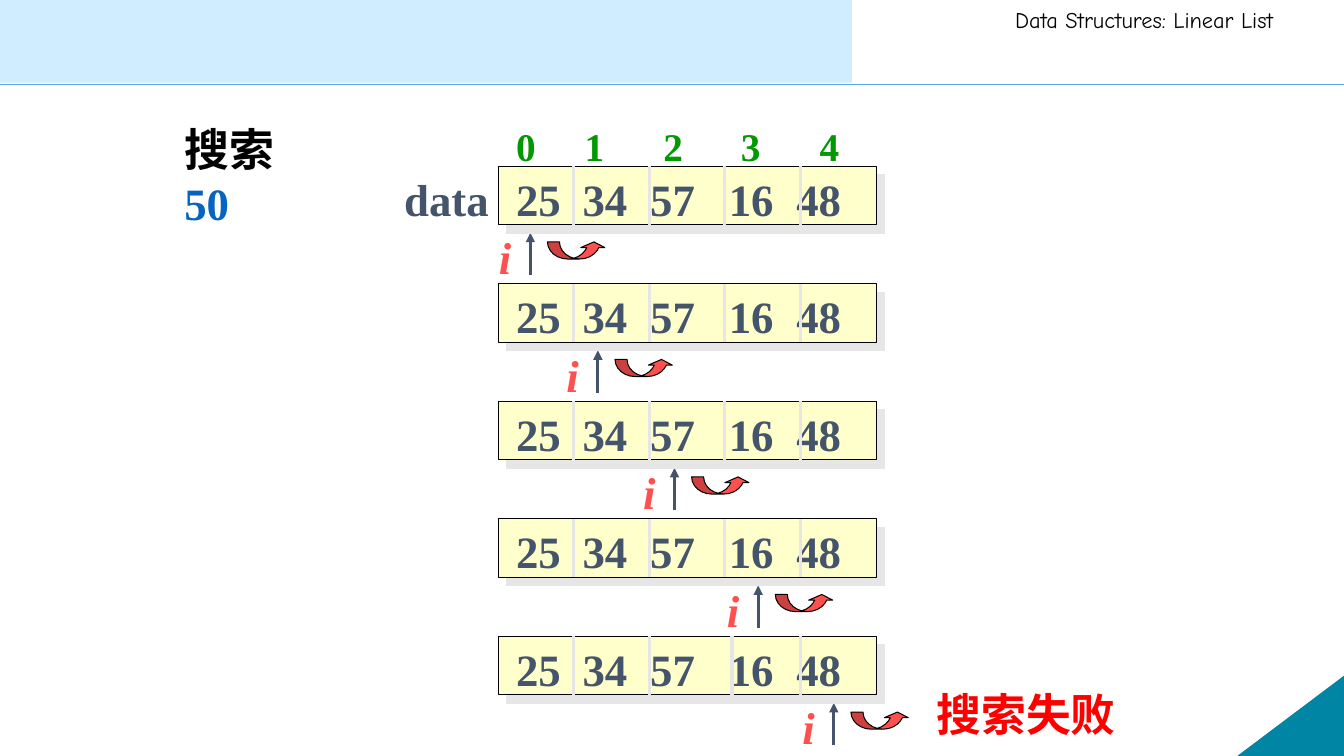
from dataclasses import dataclass
from lxml import etree
from pptx import Presentation
from pptx.dml.color import RGBColor
from pptx.enum.shapes import MSO_CONNECTOR, MSO_SHAPE
from pptx.oxml.ns import qn
from pptx.util import Inches, Pt

STRAIGHT = MSO_CONNECTOR.STRAIGHT
RECTANGLE = MSO_SHAPE.RECTANGLE
TRIANGLE = MSO_SHAPE.RIGHT_TRIANGLE
CURVED_ARROW = MSO_SHAPE.CURVED_UP_ARROW

COURSE = "Data Structures: Linear List"
ARRAY_NAME = "data"
TASK = [("搜索", "black"), ("50", "target")]
FAILURE = "搜索失败"
POINTER = "i"
INDICES = ["0", "1", "2", "3", "4"]
VALUES = ["25", "34", "57", "16", "48"]
INDEX_TABS = [0.68, 1.46, 2.23, 3.01]
VALUE_TABS = [0.66, 1.33, 2.11, 2.78]
POINTER_CENTRES = [5.26, 5.93, 6.69, 7.52, 8.27]

PAGE_WIDTH, PAGE_HEIGHT = 13.33, 7.5
ARRAY_LEFT, ARRAY_TOP = 4.94, 1.65
ARRAY_WIDTH, ARRAY_HEIGHT = 3.75, 0.58
TEXT_LEFT = ARRAY_LEFT + 0.08
CELL_WIDTH = ARRAY_WIDTH / len(VALUES)
ROW_PITCH = 1.166
LAST_ROW = len(POINTER_CENTRES) - 1
LAST_ROW_SHIFTS = {3: 0.07}


@dataclass(frozen=True)
class Theme:
    serif: str = "Times New Roman"
    comic: str = "Comic Neue"
    black: str = "000000"
    ink: str = "44546A"
    target: str = "0563C1"
    index: str = "009900"
    red: str = "FF5050"
    failure: str = "FF0000"
    cell: str = "FFFFCC"
    grey: str = "E7E6E6"
    band: str = "CFEDFE"
    rule: str = "5AAAED"
    corner: str = "0085A4"
    body: int = 32
    label: int = 28
    header: int = 16


THEME = Theme()
deck = Presentation()
deck.slide_width, deck.slide_height = Inches(PAGE_WIDTH), Inches(PAGE_HEIGHT)
page = deck.slides.add_slide(deck.slide_layouts[6])


def colour(code):
    return RGBColor.from_string(code)


def add_shape(kind, left, top, width, height, fill, line=None):
    shape = page.shapes.add_shape(kind, *map(Inches, (left, top, width, height)))
    shape.shadow.inherit = False
    shape.fill.solid()
    shape.fill.fore_color.rgb = colour(fill)
    if line:
        shape.line.color.rgb = colour(line)
        shape.line.width = Pt(0.75)
    else:
        shape.line.fill.background()
    return shape


def add_line(start, end, line_colour, width, arrow=False):
    line = page.shapes.add_connector(STRAIGHT, *map(Inches, (*start, *end)))
    line.line.color.rgb = colour(line_colour)
    line.line.width = Pt(width)
    if arrow:
        etree.SubElement(line.line._get_or_add_ln(), qn("a:tailEnd"), type="triangle")
    etree.SubElement(line._element.spPr, qn("a:effectLst"))


def add_text(lines, left, top, width, height, size=THEME.body, font=THEME.serif,
             bold=True, italic=False, wrap=False, tabs=()):
    box = page.shapes.add_textbox(*map(Inches, (left, top, width, height)))
    frame = box.text_frame
    frame.word_wrap = wrap
    for number, (text, code) in enumerate(lines):
        para = frame.add_paragraph() if number else frame.paragraphs[0]
        if tabs:
            stops = etree.SubElement(para._p.get_or_add_pPr(), qn("a:tabLst"))
            for stop in tabs:
                etree.SubElement(stops, qn("a:tab"), pos=str(Inches(stop)), algn="l")
        para.add_run().text = text
        para.font.name = font
        para.font.size = Pt(size)
        para.font.bold = bold
        para.font.italic = italic
        para.font.color.rgb = colour(code)


def add_cell_shadow(shape):
    effects = shape._element.spPr.find(qn("a:effectLst"))
    shadow = etree.SubElement(effects, qn("a:outerShdw"), dist=str(Pt(8.5)),
                              dir=str(45 * 60000), algn="ctr", rotWithShape="0")
    etree.SubElement(shadow, qn("a:srgbClr"), val=THEME.grey)


def add_page_frame():
    add_line((0, 0.84), (PAGE_WIDTH, 0.84), THEME.rule, 1)
    corner = add_shape(TRIANGLE, PAGE_WIDTH - 1.05, PAGE_HEIGHT - 0.79, 1.05, 0.79,
                       THEME.corner, THEME.corner)
    corner._element.spPr.xfrm.set("flipH", "1")
    add_text([(COURSE, THEME.black)], 9.97, 0.01, 3.36, 0.37, THEME.header,
             THEME.comic, bold=False, wrap=True)
    add_shape(RECTANGLE, -0.03, -0.07, 8.48, 0.89, THEME.band)


def add_search_step(row, centre):
    top = ARRAY_TOP + row * ROW_PITCH
    bottom = top + ARRAY_HEIGHT
    add_line((centre, bottom + 0.5), (centre, bottom + 0.08), THEME.ink, 2.25, arrow=True)
    array = add_shape(RECTANGLE, ARRAY_LEFT, top, ARRAY_WIDTH, ARRAY_HEIGHT,
                      THEME.cell, THEME.black)
    add_cell_shadow(array)
    add_text([("\t".join(VALUES), THEME.ink)], TEXT_LEFT, top, 3.83, 0.63,
             wrap=True, tabs=VALUE_TABS)
    shifts = LAST_ROW_SHIFTS if row == LAST_ROW else {}
    for column in range(1, len(VALUES)):
        divider = ARRAY_LEFT + column * CELL_WIDTH + shifts.get(column, 0)
        add_line((divider, top), (divider, bottom), THEME.grey, 2.25)
    add_text([(POINTER, THEME.red)], centre - 0.41, bottom, 0.32, 0.63, italic=True)
    jump = add_shape(CURVED_ARROW, centre + 0.17, bottom + 0.17, 0.58, 0.17,
                     THEME.red, THEME.black)
    for number, share in enumerate((0.7, 1.4, 0.333)):
        jump.adjustments[number] = share


add_page_frame()
for row, centre in enumerate(POINTER_CENTRES):
    add_search_step(row, centre)
add_text([("\t".join(INDICES), THEME.index)], TEXT_LEFT, 1.16, 3.41, 0.57,
         THEME.label, tabs=INDEX_TABS)
add_text([(ARRAY_NAME, THEME.ink)], 3.91, ARRAY_TOP, 1.05, 0.64)
add_text([(text, getattr(THEME, name)) for text, name in TASK], 1.73, 1.16, 1.66, 1.13)
add_text([(FAILURE, THEME.failure)], 9.19, 6.76, 1.99, 0.63)
deck.save("out.pptx")
